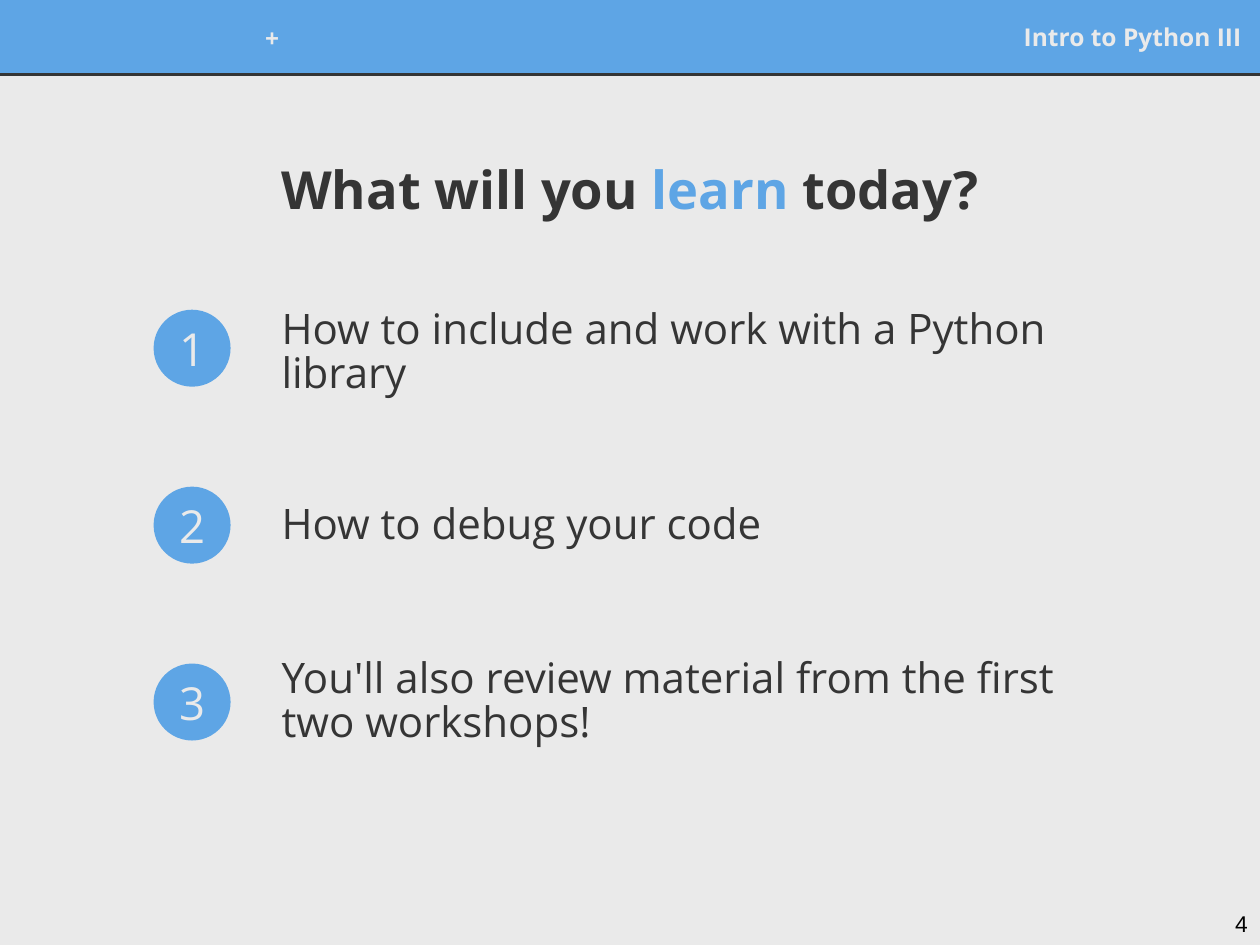
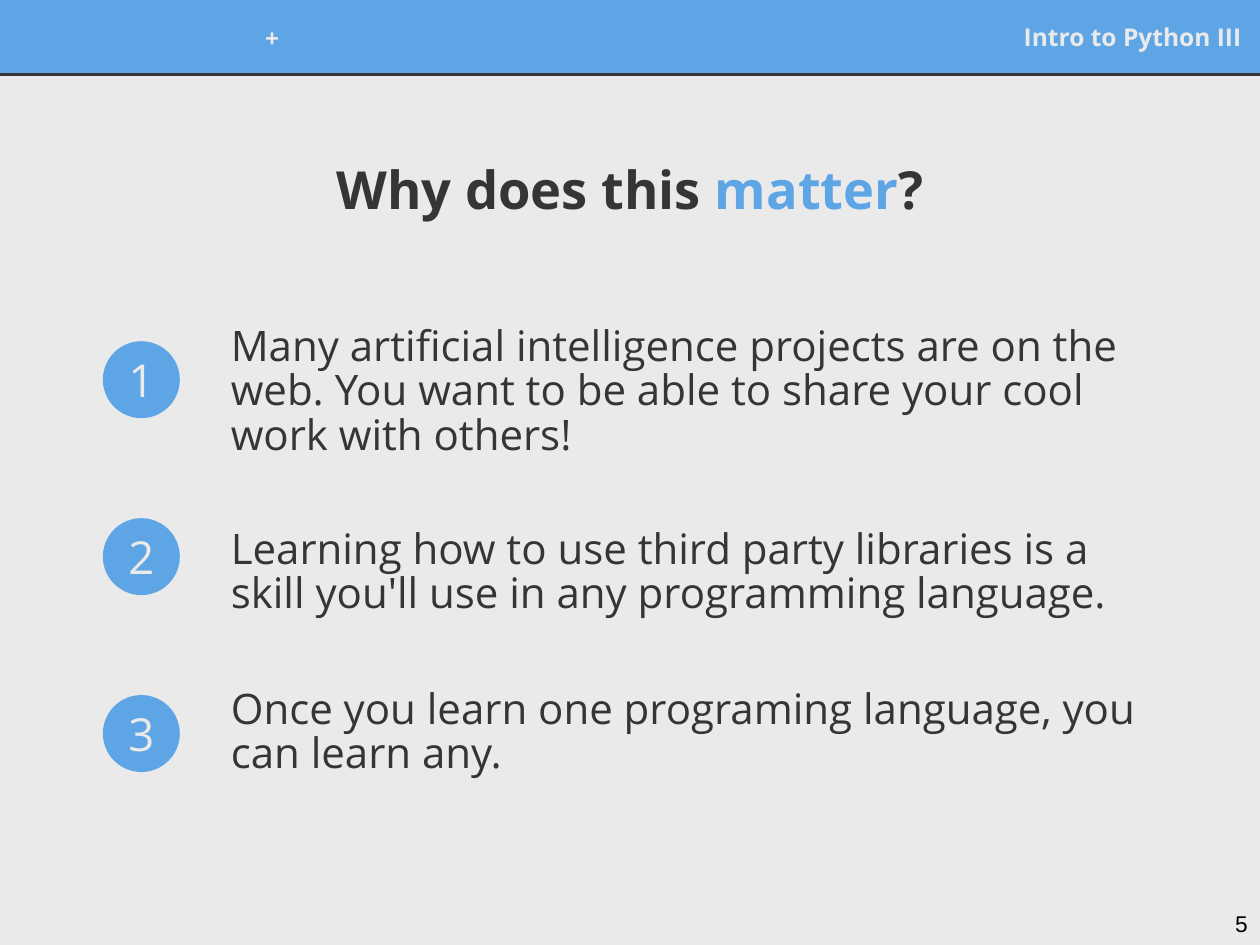
from lxml import etree
from pptx import Presentation
from pptx import util as u
from pptx.dml.color import RGBColor
from pptx.enum import shapes, text
from pptx.oxml import ns

Pt = u.Pt

BLUE = RGBColor(0x5E, 0xA5, 0xE5)
DARK = RGBColor(0x35, 0x35, 0x35)
LIGHT = RGBColor(0xEA, 0xEA, 0xEA)
BLACK = RGBColor(0, 0, 0)

LEFT, CENTER, RIGHT = text.PP_ALIGN.LEFT, text.PP_ALIGN.CENTER, text.PP_ALIGN.RIGHT
MIDDLE, TOP = text.MSO_ANCHOR.MIDDLE, text.MSO_ANCHOR.TOP

SLIDE_WIDTH, SLIDE_HEIGHT = 720, 540
BAND_HEIGHT = 42.5
CIRCLE_SIZE = 44
ITEM_STEP = 101.1
TEXT_INDENT = 66
TEXT_RISES = (11, 7.2, 7.6)  # how far each text box starts above its circle


def write(shape, runs, size, align, anchor=MIDDLE, bold=False, font="Open Sans"):
    """Fill a shape with one paragraph of (wording, colour) runs."""
    frame = shape.text_frame
    frame.word_wrap = True
    frame.vertical_anchor = anchor
    frame.margin_left = frame.margin_right = Pt(7.2)
    frame.margin_top = frame.margin_bottom = Pt(7.2)
    paragraph = frame.paragraphs[0]
    paragraph.alignment = align
    paragraph.font.name = font
    paragraph.font.size = Pt(size)
    paragraph.font.bold = bold
    for wording, colour in runs:
        run = paragraph.add_run()
        run.text = wording
        run.font.color.rgb = colour
    return paragraph


def add_text(slide, box, runs, size, align, **style):
    text_box = slide.shapes.add_textbox(*map(Pt, box))
    return write(text_box, runs, size, align, **style)


def add_filled_shape(slide, kind, box):
    shape = slide.shapes.add_shape(kind, *map(Pt, box))
    shape.shadow.inherit = False
    shape.fill.solid()
    shape.fill.fore_color.rgb = BLUE
    return shape


def add_header(slide, left, top, width, height):
    band = add_filled_shape(slide, shapes.MSO_SHAPE.RECTANGLE, (left, top, width, height))
    band.line.color.rgb = BLUE
    band.line.width = Pt(0.75)
    bottom = Pt(top + height)
    rule = slide.shapes.add_connector(
        shapes.MSO_CONNECTOR.STRAIGHT, Pt(left), bottom, Pt(left + width), bottom)
    rule.line.color.rgb = DARK
    rule.line.width = Pt(1.5)
    etree.SubElement(rule._element.spPr, ns.qn("a:effectLst"))
    add_text(slide, (left + width - 271, top + 7.2, 267.5, 27.4),
             [("Intro to Python III", LIGHT)], 14, RIGHT, bold=True)
    add_text(slide, (left + 134, top + 7.9, 43, 27.4),
             [("+", LIGHT)], 14, CENTER, bold=True)


def add_numbered_list(slide, left, top, width, items):
    """Place (wording, text height) items beside numbered circles."""
    for index, (wording, height) in enumerate(items):
        circle_top = top + index * ITEM_STEP
        circle = add_filled_shape(slide, shapes.MSO_SHAPE.OVAL,
                                  (left, circle_top, CIRCLE_SIZE, CIRCLE_SIZE))
        circle.line.fill.background()
        write(circle, [(str(index + 1), LIGHT)], 26, CENTER)
        box = (left + TEXT_INDENT, circle_top - TEXT_RISES[index],
               width - TEXT_INDENT, height)
        paragraph = add_text(slide, box, [(wording, DARK)], 24, LEFT)
        paragraph.line_spacing = 0.88


def add_list_slide(presentation, number, title, list_box, items):
    slide = presentation.slides.add_slide(presentation.slide_layouts[6])
    slide.background.fill.solid()
    slide.background.fill.fore_color.rgb = LIGHT
    add_header(slide, 0, 0, SLIDE_WIDTH, BAND_HEIGHT)
    add_text(slide, (SLIDE_WIDTH - 43, SLIDE_HEIGHT - 27.4, 43, 27.4),
             [(str(number), BLACK)], 13, RIGHT, anchor=TOP, font="Arial")
    add_text(slide, (12.6, 67.7, 694.8, 80.6),
             zip(title, (DARK, BLUE, DARK)), 30, CENTER, bold=True)
    add_numbered_list(slide, *list_box, items)


def main():
    presentation = Presentation()
    presentation.slide_width = Pt(SLIDE_WIDTH)
    presentation.slide_height = Pt(SLIDE_HEIGHT)
    add_list_slide(
        presentation, 4, ("What will you ", "learn", " today?"), (87.8, 177, 544), [
            ("How to include and work with a Python library", 72),
            ("How to debug your code", 59),
            ("You'll also review material from the first two workshops!", 59),
        ])
    add_list_slide(
        presentation, 5, ("Why does this ", "matter", "?"), (58.8, 195, 602.4), [
            ("Many artificial intelligence projects are on the web. "
             "You want to be able to share your cool work with others!", 80.6),
            ("Learning how to use third party libraries is a skill "
             "you'll use in any programming language.", 77),
            ("Once you learn one programing language, you can learn any.", 59),
        ])
    presentation.save("out.pptx")


if __name__ == "__main__":
    main()
